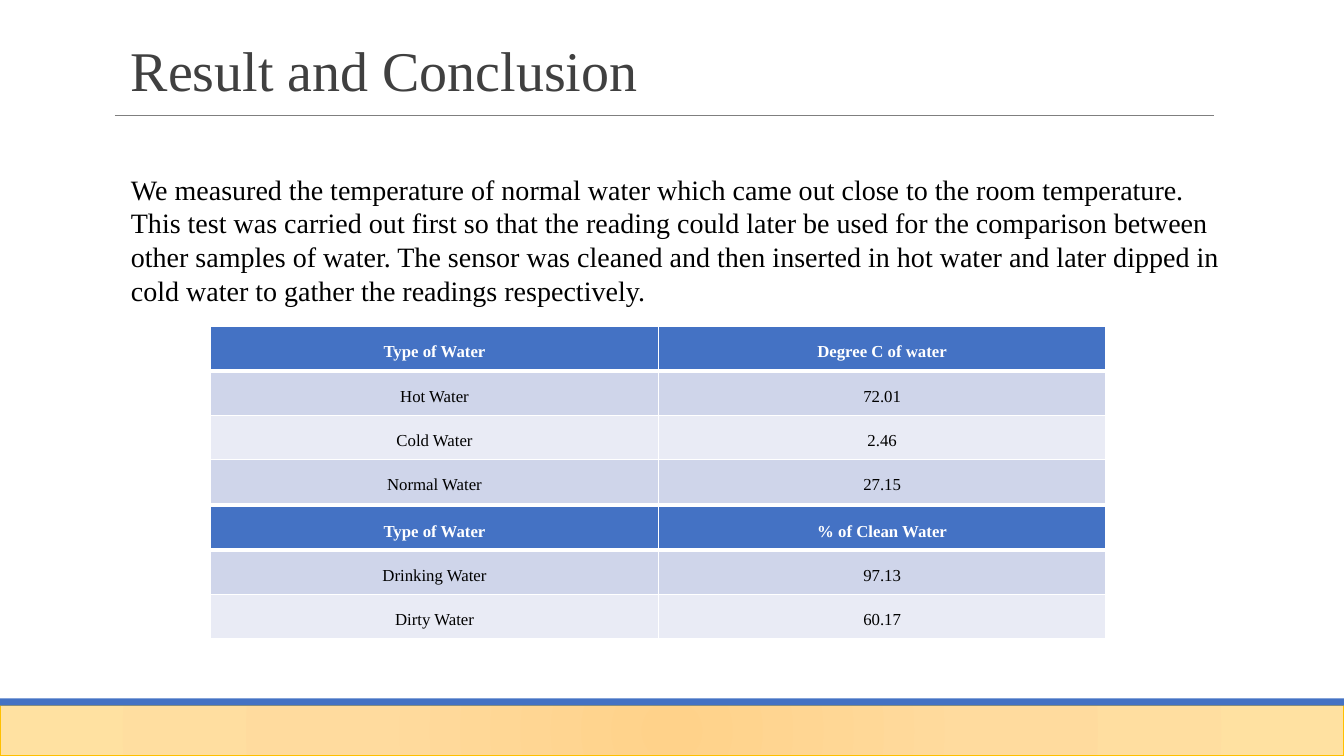
import pptx
import pptx.dml.color
import pptx.enum.shapes
import pptx.enum.text
import pptx.oxml
import pptx.oxml.ns
import pptx.util
from lxml import etree

Inches, Pt = pptx.util.Inches, pptx.util.Pt
RGBColor = pptx.dml.color.RGBColor
PP_ALIGN = pptx.enum.text.PP_ALIGN
ANCHOR = pptx.enum.text.MSO_ANCHOR
qn = pptx.oxml.ns.qn

# Content
TITLE = "Result and Conclusion"
SUMMARY = (
    "We measured the temperature of normal water which came out close to the room temperature. "
    "This test was carried out first so that the reading could later be used for the comparison "
    "between other samples of water. The sensor was cleaned and then inserted in hot water and "
    "later dipped in cold water to gather the readings respectively."
)
TEMPERATURES = [
    ("Type of Water", "Degree C of water"),
    ("Hot Water", "72.01"),
    ("Cold Water", "2.46"),
    ("Normal Water", "27.15"),
]
CLEANLINESS = [
    ("Type of Water", "% of Clean Water"),
    ("Drinking Water", "97.13"),
    ("Dirty Water", "60.17"),
]
READINGS = [(3.24, TEMPERATURES), (5.02, CLEANLINESS)]
FOOTER_GRADIENT = [(0, "FFD28A"), (45, "FFDB9E"), (100, "FFE1A1")]

# Style
FONT = "Times New Roman"
BLACK = RGBColor(0x00, 0x00, 0x00)
WHITE = RGBColor(0xFF, 0xFF, 0xFF)
TITLE_GREY = RGBColor(0x40, 0x40, 0x40)
RULE_GREY = RGBColor(0x7F, 0x7F, 0x7F)
BLUE = RGBColor(0x44, 0x72, 0xC4)
BAND_DARK = RGBColor(0xCF, 0xD5, 0xEA)
BAND_LIGHT = RGBColor(0xE9, 0xEB, 0xF5)
GOLD = RGBColor(0xFF, 0xC0, 0x00)

SLIDE_W, SLIDE_H = 13.33, 7.5
FOOTER_TOP, STRIPE_H = 7.0, 0.07
TEXT_LEFT, TEXT_W = 1.2, 11.0
TABLE_LEFT, COLUMN_W, ROW_H = 2.09, 4.44, 0.44
CELL_INSET = 0.07


def write(paragraph, text, size, color, bold=False):
    run = paragraph.add_run()
    run.text = text
    run.font.name = FONT
    run.font.size = Pt(size)
    run.font.bold = bold
    run.font.color.rgb = color


def add_text(slide, top, height, text, size, color, anchor, spacing):
    box = slide.shapes.add_textbox(
        Inches(TEXT_LEFT), Inches(top), Inches(TEXT_W), Inches(height))
    frame = box.text_frame
    frame.word_wrap = True
    frame.vertical_anchor = anchor
    frame.paragraphs[0].line_spacing = spacing
    write(frame.paragraphs[0], text, size, color)


def add_bar(slide, top, height):
    bar = slide.shapes.add_shape(
        pptx.enum.shapes.MSO_SHAPE.RECTANGLE,
        0, Inches(top), Inches(SLIDE_W), Inches(height))
    bar.shadow.inherit = False
    return bar


def fill_radial(shape, stops):
    """Give the shape a gradient that spreads from its centre."""
    shape.fill.background()
    stop_xml = "".join(
        f'<a:gs pos="{percent * 1000}"><a:srgbClr val="{color}"/></a:gs>'
        for percent, color in stops)
    gradient = pptx.oxml.parse_xml(
        f'<a:gradFill {pptx.oxml.ns.nsdecls("a")}><a:gsLst>{stop_xml}</a:gsLst>'
        '<a:path path="circle"><a:fillToRect l="50000" t="50000" r="50000" b="50000"/>'
        '</a:path></a:gradFill>')
    properties = shape._element.spPr
    properties.replace(properties.find(qn("a:noFill")), gradient)


def set_borders(cell, widths):
    properties = cell._tc.get_or_add_tcPr()
    for index, (side, width) in enumerate(widths.items()):
        border = etree.Element(qn(f"a:ln{side}"), w=str(Pt(width)))
        solid = etree.SubElement(border, qn("a:solidFill"))
        etree.SubElement(solid, qn("a:srgbClr"), val=str(WHITE))
        properties.insert(index, border)


def add_readings(slide, top, rows):
    columns = len(rows[0])
    table = slide.shapes.add_table(
        len(rows), columns, Inches(TABLE_LEFT), Inches(top),
        Inches(COLUMN_W * columns), Inches(ROW_H * len(rows))).table
    table.horz_banding = False
    for column in table.columns:
        column.width = Inches(COLUMN_W)
    for r, row in enumerate(rows):
        table.rows[r].height = Inches(ROW_H)
        header = r == 0
        band = BLUE if header else (BAND_DARK if r % 2 else BAND_LIGHT)
        for c, text in enumerate(row):
            cell = table.cell(r, c)
            cell.margin_left = cell.margin_right = Inches(CELL_INSET)
            cell.margin_top = cell.margin_bottom = Inches(CELL_INSET)
            cell.fill.solid()
            cell.fill.fore_color.rgb = band
            # The heavy line under the header belongs to both adjoining rows
            set_borders(cell, {"L": 1, "R": 1, "T": 3 if r == 1 else 1,
                               "B": 3 if header else 1})
            paragraph = cell.text_frame.paragraphs[0]
            paragraph.alignment = PP_ALIGN.CENTER
            paragraph.line_spacing = 1.5
            write(paragraph, text, 12, WHITE if header else BLACK, header)


def main():
    deck = pptx.Presentation()
    deck.slide_width, deck.slide_height = Inches(SLIDE_W), Inches(SLIDE_H)
    slide = deck.slides.add_slide(deck.slide_layouts[6])

    # Footer
    footer = add_bar(slide, FOOTER_TOP, SLIDE_H - FOOTER_TOP)
    fill_radial(footer, FOOTER_GRADIENT)
    footer.line.color.rgb = GOLD
    footer.line.width = Pt(1)
    stripe = add_bar(slide, FOOTER_TOP - STRIPE_H, STRIPE_H)
    stripe.fill.solid()
    stripe.fill.fore_color.rgb = BLUE
    stripe.line.fill.background()

    # Title and its rule
    rule = slide.shapes.add_connector(
        pptx.enum.shapes.MSO_CONNECTOR.STRAIGHT,
        Inches(1.14), Inches(1.15), Inches(12.04), Inches(1.15))
    rule.line.color.rgb = RULE_GREY
    rule.line.width = Pt(0.75)
    etree.SubElement(rule._element.spPr, qn("a:effectLst"))
    add_text(slide, 0.31, 0.76, TITLE, 40, TITLE_GREY, ANCHOR.BOTTOM, 0.85)

    # Summary and readings
    add_text(slide, 1.66, 1.45, SUMMARY, 20, BLACK, ANCHOR.TOP, 1.0)
    for top, rows in READINGS:
        add_readings(slide, top, rows)

    deck.save("out.pptx")


if __name__ == "__main__":
    main()
